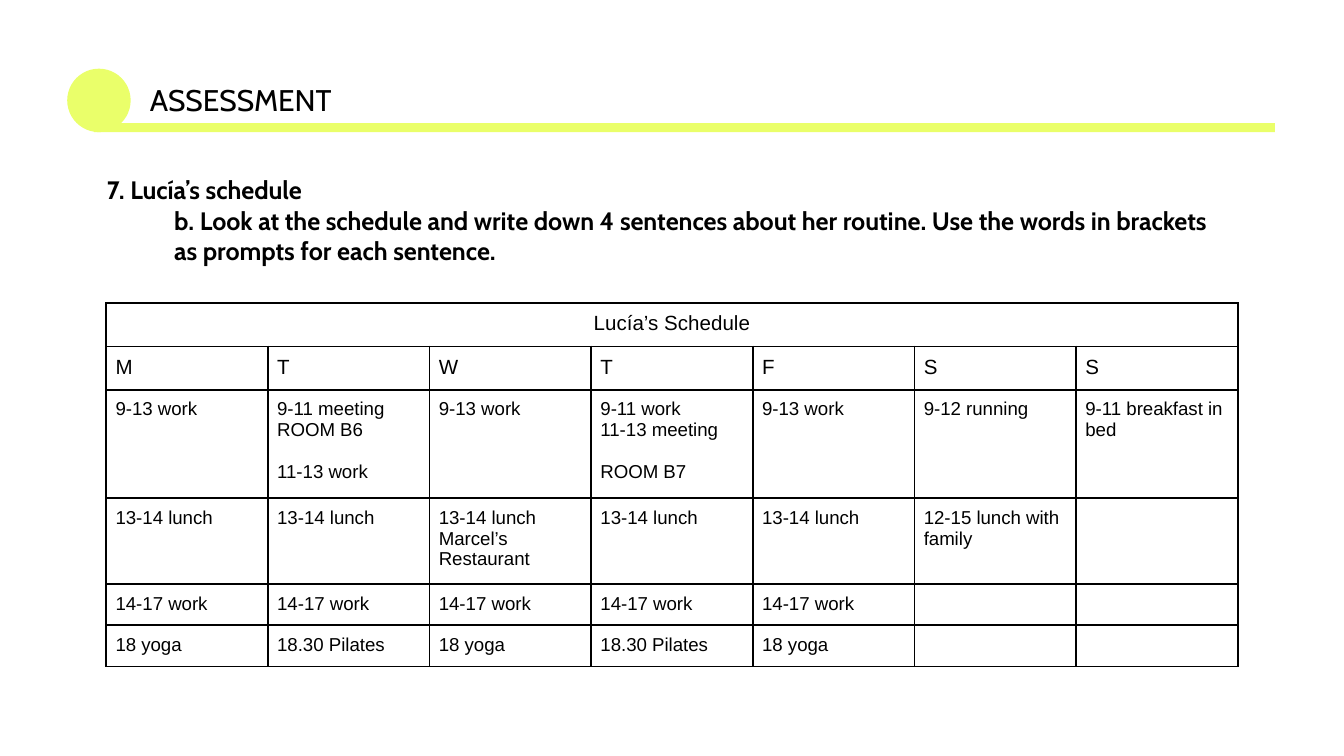
from lxml.etree import SubElement
from pptx import Presentation
from pptx.dml.color import RGBColor
from pptx.enum.shapes import MSO_SHAPE
from pptx.enum.text import MSO_AUTO_SIZE, PP_ALIGN
from pptx.oxml.ns import qn
from pptx.util import Pt

DAYS = ["M", "T", "W", "T", "F", "S", "S"]
# Each cell is a list of paragraphs; a leading "+" asks for a line of space above
SCHEDULE = [
    [["9-13 work"], ["9-11 meeting ROOM B6", "+11-13 work"], ["9-13 work"],
     ["9-11 work", "11-13 meeting", "+ROOM B7"], ["9-13 work"],
     ["9-12 running"], ["9-11 breakfast in bed"]],
    [["13-14 lunch"], ["13-14 lunch"], ["13-14 lunch", "Marcel’s Restaurant"],
     ["13-14 lunch"], ["13-14 lunch"], ["12-15 lunch with family"], [""]],
    [["14-17 work"]] * 5 + [[""]] * 2,
    [["18 yoga"], ["18.30 Pilates"], ["18 yoga"], ["18.30 Pilates"],
     ["18 yoga"], [""], [""]],
]
ROW_HEIGHTS = [23, 23.3, 58.1, 46, 22, 22]


def color(value):
    return RGBColor.from_string(value)


class SlideWriter:
    accent = "EAFF6A"
    ink = "000000"
    title = {"name": "Cabin", "size": Pt(16)}
    task = {"name": "Cabin", "size": Pt(13.5), "bold": True}
    heading = {"name": "Arial", "size": Pt(11)}
    entry = {"name": "Arial", "size": Pt(10)}
    line_gap = Pt(11.4)

    def __init__(self, slide):
        self.slide = slide

    def format_font(self, font, style):
        for name, value in style.items():
            setattr(font, name, value)
        font.color.rgb = color(self.ink)

    def shape(self, kind, left, top, width, height):
        shape = self.slide.shapes.add_shape(
            kind, Pt(left), Pt(top), Pt(width), Pt(height))
        shape.shadow.inherit = False
        shape.fill.solid()
        shape.fill.fore_color.rgb = color(self.accent)
        shape.line.fill.background()

    def text(self, left, top, width, height, lines, style):
        """Write (text, left indent) pairs as paragraphs."""
        box = self.slide.shapes.add_textbox(
            Pt(left), Pt(top), Pt(width), Pt(height))
        frame = box.text_frame
        frame.word_wrap = True
        frame.auto_size = MSO_AUTO_SIZE.SHAPE_TO_FIT_TEXT
        for side in ("left", "top", "right", "bottom"):
            setattr(frame, f"margin_{side}", Pt(7.2))
        for index, (line, indent) in enumerate(lines):
            para = frame.add_paragraph() if index else frame.paragraphs[0]
            properties = para._p.get_or_add_pPr()
            properties.set("marL", str(Pt(indent)))
            properties.set("indent", "0")
            span = para.add_run()
            span.text = line
            self.format_font(span.font, style)

    def borders(self, cell):
        properties = cell._tc.get_or_add_tcPr()
        for index, tag in enumerate(("a:lnL", "a:lnR", "a:lnT", "a:lnB")):
            line = properties.makeelement(qn(tag), {"w": str(Pt(1))})
            fill = SubElement(line, qn("a:solidFill"))
            SubElement(fill, qn("a:srgbClr"), val=self.ink)
            properties.insert(index, line)

    def cell(self, cell, lines, style, align=PP_ALIGN.LEFT):
        cell.fill.background()
        self.borders(cell)
        for side in ("left", "top", "right", "bottom"):
            setattr(cell, f"margin_{side}", Pt(5))
        for index, line in enumerate(lines):
            frame = cell.text_frame
            para = frame.add_paragraph() if index else frame.paragraphs[0]
            para.alignment = align
            if line.startswith("+"):
                para.space_before = self.line_gap
            if line:
                span = para.add_run()
                span.text = line.removeprefix("+")
                self.format_font(span.font, style)
            else:
                self.format_font(para.font, style)

    def table(self, left, top, width, heights, caption, headings, rows):
        columns = len(headings)
        table = self.slide.shapes.add_table(
            len(heights), columns, Pt(left), Pt(top),
            Pt(width), Pt(sum(heights))).table
        table.first_row = table.horz_banding = False
        for column in table.columns:
            column.width = Pt(width / columns)
        for row, height in zip(table.rows, heights):
            row.height = Pt(height)
        # Caption across all columns, then day names, then entries
        table.cell(0, 0).merge(table.cell(0, columns - 1))
        self.cell(table.cell(0, 0), [caption], self.heading, PP_ALIGN.CENTER)
        for column in range(1, columns):
            self.cell(table.cell(0, column), [""], self.heading)
        for column, heading in enumerate(headings):
            self.cell(table.cell(1, column), [heading], self.heading)
        for row, entries in enumerate(rows, start=2):
            for column, lines in enumerate(entries):
                self.cell(table.cell(row, column), lines, self.entry)


def main():
    deck = Presentation()
    deck.slide_width, deck.slide_height = Pt(720), Pt(405)
    page = SlideWriter(deck.slides.add_slide(deck.slide_layouts[6]))

    # Header
    page.shape(MSO_SHAPE.OVAL, 36, 36.8, 34, 34)
    page.shape(MSO_SHAPE.RECTANGLE, 50.4, 66, 632.6, 4.8)
    page.text(73.2, 36.8, 252, 34, [("ASSESSMENT", 0)], page.title)

    # Task
    page.text(50.2, 86.4, 606.2, 63.4, [
        ("7. Lucía’s schedule", 0),
        ("b. Look at the schedule and write down 4 sentences about her routine. "
         "Use the words in brackets as prompts for each sentence.", 36),
    ], page.task)

    # Schedule
    page.table(56.9, 162.3, 606.2, ROW_HEIGHTS,
               "Lucía’s Schedule", DAYS, SCHEDULE)
    deck.save("out.pptx")


if __name__ == "__main__":
    main()
